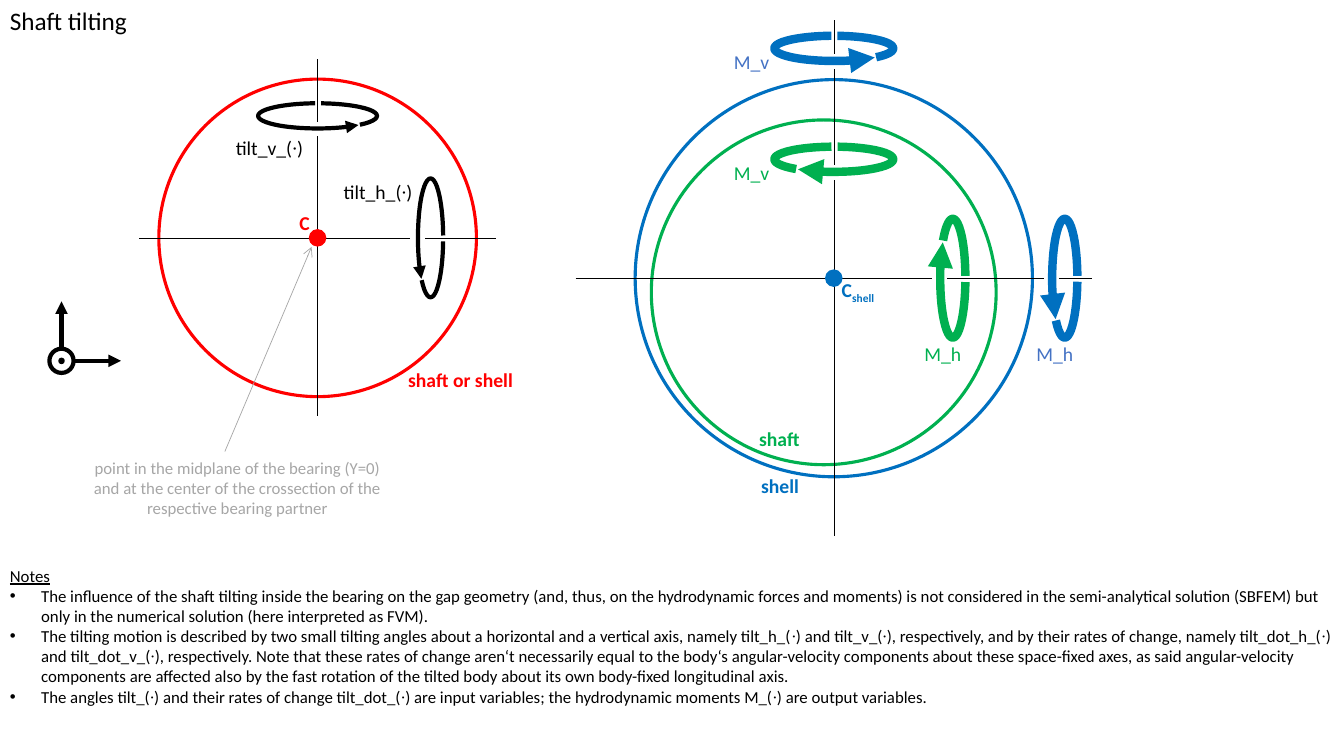
from lxml import etree
from pptx import Presentation
from pptx.dml.color import RGBColor
from pptx.enum.shapes import MSO_CONNECTOR, MSO_SHAPE
from pptx.enum.text import MSO_AUTO_SIZE, PP_ALIGN
from pptx.oxml.ns import qn
from pptx.util import Inches, Pt

BLACK = RGBColor(0x00, 0x00, 0x00)
WHITE = RGBColor(0xFF, 0xFF, 0xFF)
RED = RGBColor(0xFF, 0x00, 0x00)
BLUE = RGBColor(0x00, 0x70, 0xC0)
LABEL_BLUE = RGBColor(0x44, 0x72, 0xC4)
GREEN = RGBColor(0x00, 0xB0, 0x50)
GRAY = RGBColor(0xA6, 0xA6, 0xA6)

LEFT_C, RIGHT_C, SHAFT_C, ORIGIN = (3.15, 2.36), (8.27, 2.76), (8.17, 2.9), (0.61, 3.58)

CIRCLES = [
    (RIGHT_C, 3.94, BLUE),
    (LEFT_C, 3.15, RED),
    (SHAFT_C, 3.42, GREEN),
]
AXES = [
    (LEFT_C, 1.77),
    (RIGHT_C, 2.56),
]
ARROWS = [
    (ORIGIN, (0.61, 2.99), BLACK, 3, "triangle"),
    (ORIGIN, (1.2, 3.58), BLACK, 3, "triangle"),
    ((2.23, 4.48), (3.09, 2.45), GRAY, 0.5, "arrow"),
]
DOTS = [
    (LEFT_C, 0.16, RED, RED, 1),
    (RIGHT_C, 0.16, BLUE, BLUE, 1),
    (ORIGIN, 0.24, WHITE, BLACK, 3),
    (ORIGIN, 0.05, BLACK, BLACK, 1),
]

LOOP_W, LOOP_H, GAP_W, GAP_H, GAP_SHIFT = 1.18, 0.25, 0.06, 0.13, 0.13
FORWARD = [(171.414, 7.094, None), (7.558, 155.585, "head")]
BACKWARD = [(99.297, 155.585, None), (172.211, 98.579, "tail")]
LOOPS = [
    ((3.15, 1.15), 0, BLACK, 3, FORWARD),
    ((4.27, 2.36), 90, BLACK, 3, FORWARD),
    ((8.27, 0.48), 0, BLUE, 6, FORWARD),
    ((8.27, 1.58), 0, GREEN, 6, BACKWARD),
    ((10.56, 2.76), 90, BLUE, 6, FORWARD),
    ((9.45, 2.76), 90, GREEN, 6, BACKWARD),
]

LABELS = [
    ("Shaft tilting", (0, 0, 1.38, 0.4), dict(size=18)),
    ("shaft or shell", (3.95, 3.6, 1.3, 0.34), dict(color=RED, bold=True)),
    ("tilt_v_(∙)", (2.24, 1.3, 0.88, 0.34), {}),
    ("tilt_h_(∙)", (3.31, 1.74, 0.89, 0.34), {}),
    ("C", (2.87, 2.04, 0.34, 0.34), dict(color=RED, bold=True, wrap=True)),
    ("C", (8.25, 2.71, 0.61, 0.34), dict(color=BLUE, bold=True, wrap=True, sub="shell")),
    ("M_v", (7.18, 0.45, 0.56, 0.34), dict(color=LABEL_BLUE)),
    ("M_v", (7.18, 1.55, 0.56, 0.34), dict(color=GREEN)),
    ("M_h", (10.18, 3.34, 0.57, 0.34), dict(color=LABEL_BLUE)),
    ("M_h", (9.07, 3.34, 0.57, 0.34), dict(color=GREEN)),
    ("shaft", (7.43, 4.19, 0.61, 0.34), dict(color=GREEN, bold=True)),
    ("shell", (7.45, 4.65, 0.58, 0.34), dict(color=BLUE, bold=True)),
    ("point in the midplane of the bearing (Y=0) and at the center of the crossection "
     "of the respective bearing partner", (0.82, 4.49, 3.07, 0.71),
     dict(size=12, color=GRAY, align=PP_ALIGN.CENTER, wrap=True)),
]
NOTES_BOX = (0, 5.56, 13.33, 1.54)
NOTES_TITLE = "Notes"
NOTES = [
    "The influence of the shaft tilting inside the bearing on the gap geometry (and, thus, on the "
    "hydrodynamic forces and moments) is not considered in the semi-analytical solution (SBFEM) but "
    "only in the numerical solution (here interpreted as FVM).",
    "The tilting motion is described by two small tilting angles about a horizontal and a vertical "
    "axis, namely tilt_h_(∙) and tilt_v_(∙), respectively, and by their rates of change, namely "
    "tilt_dot_h_(∙) and tilt_dot_v_(∙), respectively. Note that these rates of change aren‘t "
    "necessarily equal to the body‘s angular-velocity components about these space-fixed axes, as "
    "said angular-velocity components are affected also by the fast rotation of the tilted body "
    "about its own body-fixed longitudinal axis.",
    "The angles tilt_(∙) and their rates of change tilt_dot_(∙) are input variables; the "
    "hydrodynamic moments M_(∙) are output variables.",
]


def write(p, text, size=14, color=BLACK, bold=False, underline=False, align=None, sub="", bullet=False):
    if bullet:
        pPr = p._p.get_or_add_pPr()
        pPr.set("marL", str(Inches(0.31)))
        pPr.set("indent", str(-Inches(0.31)))
        etree.SubElement(pPr, qn("a:buFont")).set("typeface", "Arial")
        etree.SubElement(pPr, qn("a:buChar")).set("char", "•")
    if align is not None:
        p.alignment = align
    pieces = text.replace("∙", "\n∙\n").split("\n")
    for piece in pieces + [sub]:
        if not piece:
            continue
        r = p.add_run()
        r.text = piece
        r.font.name = "Times New Roman" if piece == "∙" else "Calibri"
        r.font.size = Pt(size)
        r.font.color.rgb = color
        r.font.bold = bold
        r.font.underline = underline
        if piece == sub:
            r.font._element.set("baseline", "-25000")


def add_box(box, wrap, auto_size):
    tf = s.shapes.add_textbox(*map(Inches, box)).text_frame
    tf.word_wrap = wrap
    tf.auto_size = auto_size
    return tf


def style_line(line, color, width, end=None, kind="triangle"):
    line.color.rgb = color
    line.width = Pt(width)
    if end:
        etree.SubElement(line._get_or_add_ln(), qn(f"a:{end}End")).set("type", kind)


def add_centred(shapes, preset, center, w, h, fill, color, width, rotation=0, end=None):
    x, y = center
    sp = shapes.add_shape(preset, Inches(x - w / 2), Inches(y - h / 2), Inches(w), Inches(h))
    sp.shadow.inherit = False
    sp.rotation = rotation
    if fill is None:
        sp.fill.background()
    else:
        sp.fill.solid()
        sp.fill.fore_color.rgb = fill
    style_line(sp.line, color, width, end)
    return sp


def add_line(start, stop, color, width, kind=None):
    c = s.shapes.add_connector(MSO_CONNECTOR.STRAIGHT, *map(Inches, start + stop))
    style_line(c.line, color, width, "tail" if kind else None, kind)
    etree.SubElement(c._element.spPr, qn("a:effectLst"))


def add_loop(center, rotation, color, width, arcs):
    shapes = s.shapes.add_group_shape().shapes
    x, y = center
    gap = (x - GAP_SHIFT, y) if rotation else (x, y + GAP_SHIFT)
    add_centred(shapes, MSO_SHAPE.RECTANGLE, gap, GAP_W, GAP_H, WHITE, WHITE, 1, rotation)
    for first, last, end in arcs:
        arc = add_centred(shapes, MSO_SHAPE.ARC, center, LOOP_W, LOOP_H, None, color, width, rotation, end)
        arc.adjustments[0] = first
        arc.adjustments[1] = last


prs = Presentation()
prs.slide_width, prs.slide_height = Inches(13.33), Inches(7.5)
s = prs.slides.add_slide(prs.slide_layouts[6])

for center, d, color in CIRCLES:
    add_centred(s.shapes, MSO_SHAPE.OVAL, center, d, d, None, color, 2.25)
for (x, y), reach in AXES:
    add_line((x - reach, y), (x + reach, y), BLACK, 0.25)
    add_line((x, y - reach), (x, y + reach), BLACK, 0.25)
for arrow in ARROWS:
    add_line(*arrow)
for center, d, fill, color, width in DOTS:
    add_centred(s.shapes, MSO_SHAPE.OVAL, center, d, d, fill, color, width)
for loop in LOOPS:
    add_loop(*loop)

for text, box, look in LABELS:
    look = dict(look)
    tf = add_box(box, look.pop("wrap", False), MSO_AUTO_SIZE.SHAPE_TO_FIT_TEXT)
    write(tf.paragraphs[0], text, **look)

tf = add_box(NOTES_BOX, True, MSO_AUTO_SIZE.NONE)
write(tf.paragraphs[0], NOTES_TITLE, size=12, underline=True)
for note in NOTES:
    write(tf.add_paragraph(), note, size=12, bullet=True)

prs.save("out.pptx")
